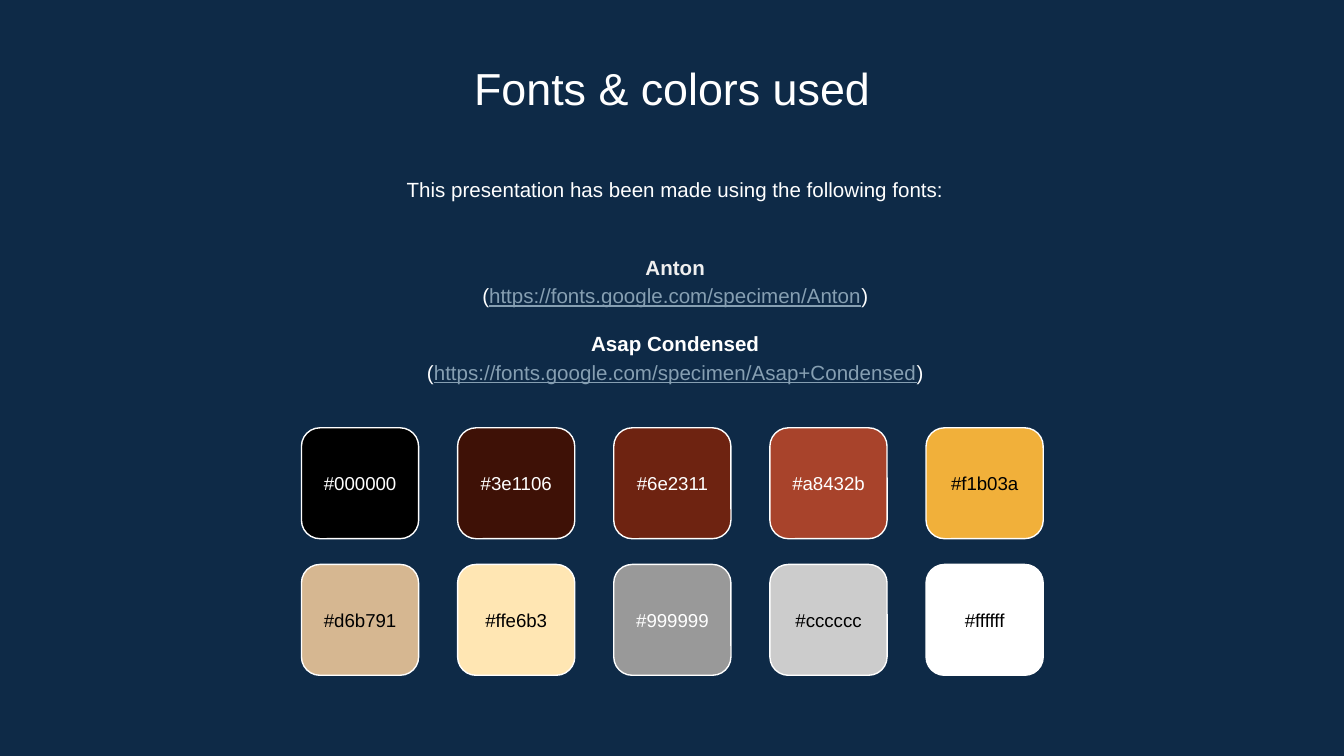
from pptx import Presentation
from pptx.dml.color import RGBColor
from pptx.enum.shapes import MSO_SHAPE
from pptx.enum.text import MSO_ANCHOR, PP_ALIGN
from pptx.util import Pt

FONT = "Arial"
COLORS = {
    "background": "0E2A47",
    "white": "FFFFFF",
    "black": "000000",
    "pale": "EFEFEF",
    "link": "869FB2",
}
FONT_SOURCES = [
    ("Anton", "https://fonts.google.com/specimen/Anton", "pale", 0),
    ("Asap Condensed", "https://fonts.google.com/specimen/Asap+Condensed", "white", 10.6),
]
SWATCH_ROWS = [
    [("#000000", "white"), ("#3e1106", "white"), ("#6e2311", "white"),
     ("#a8432b", "white"), ("#f1b03a", "black")],
    [("#d6b791", "black"), ("#ffe6b3", "black"), ("#999999", "white"),
     ("#cccccc", "black"), ("#ffffff", "black")],
]
SWATCH_LEFT, SWATCH_TOP = 161.5, 229.2
SWATCH_WIDTH, SWATCH_HEIGHT = 62.8, 59.4
COLUMN_STEP, ROW_STEP = 83.65, 73.2
LABEL_OFFSET, LABEL_HEIGHT = 12.5, 34.6


def rgb(name):
    return RGBColor.from_string(COLORS[name])


def add_text_box(page, left, top, width, height, anchor=MSO_ANCHOR.TOP):
    box = page.shapes.add_textbox(Pt(left), Pt(top), Pt(width), Pt(height))
    frame = box.text_frame
    frame.word_wrap = True
    frame.vertical_anchor = anchor
    frame.margin_left = frame.margin_right = Pt(7.2)
    frame.margin_top = frame.margin_bottom = Pt(7.2)
    return frame


def style_paragraph(para, size, color="white", bold=False, spacing=1.0):
    para.alignment = PP_ALIGN.CENTER
    para.line_spacing = spacing
    para.font.name = FONT
    para.font.size = Pt(size)
    para.font.bold = bold
    para.font.color.rgb = rgb(color)


def add_line(page, text, place, size, color="white", spacing=1.0, anchor=MSO_ANCHOR.TOP):
    para = add_text_box(page, *place, anchor).paragraphs[0]
    para.text = text
    style_paragraph(para, size, color, spacing=spacing)


def add_font_list(page):
    frame = add_text_box(page, 84.2, 121, 555.1, 98.6, MSO_ANCHOR.MIDDLE)
    for index, (name, address, color, gap) in enumerate(FONT_SOURCES):
        heading = frame.add_paragraph() if index else frame.paragraphs[0]
        heading.text = name
        style_paragraph(heading, 11, color, bold=True, spacing=1.15)
        if gap:
            heading.space_before = Pt(gap)

        source = frame.add_paragraph()
        style_paragraph(source, 11, spacing=1.15)
        for text in ("(", address, ")"):
            span = source.add_run()
            span.text = text
            if text == address:
                span.font.underline = True
                span.font.color.rgb = rgb("link")


def add_swatch(page, left, top, code, text_color):
    tile = page.shapes.add_shape(
        MSO_SHAPE.ROUNDED_RECTANGLE,
        Pt(left), Pt(top), Pt(SWATCH_WIDTH), Pt(SWATCH_HEIGHT))
    tile.shadow.inherit = False
    tile.fill.solid()
    tile.fill.fore_color.rgb = RGBColor.from_string(code.strip("#").upper())
    tile.line.color.rgb = rgb("white")
    tile.line.width = Pt(0.75)
    place = (left, top + LABEL_OFFSET, SWATCH_WIDTH, LABEL_HEIGHT)
    add_line(page, code, place, 10, text_color, anchor=MSO_ANCHOR.MIDDLE)


def main():
    deck = Presentation()
    deck.slide_width = Pt(720)
    deck.slide_height = Pt(405)
    page = deck.slides.add_slide(deck.slide_layouts[6])
    page.background.fill.solid()
    page.background.fill.fore_color.rgb = rgb("background")

    add_line(page, "Fonts & colors used", (82.5, 25.2, 555.1, 38.2), 24)
    add_line(page, "This presentation has been made using the following fonts:",
             (84.2, 85.7, 555.1, 34.6), 11, spacing=1.15)
    add_font_list(page)
    for row, swatches in enumerate(SWATCH_ROWS):
        for column, (code, text_color) in enumerate(swatches):
            add_swatch(page, SWATCH_LEFT + column * COLUMN_STEP,
                       SWATCH_TOP + row * ROW_STEP, code, text_color)
    deck.save("out.pptx")


if __name__ == "__main__":
    main()
